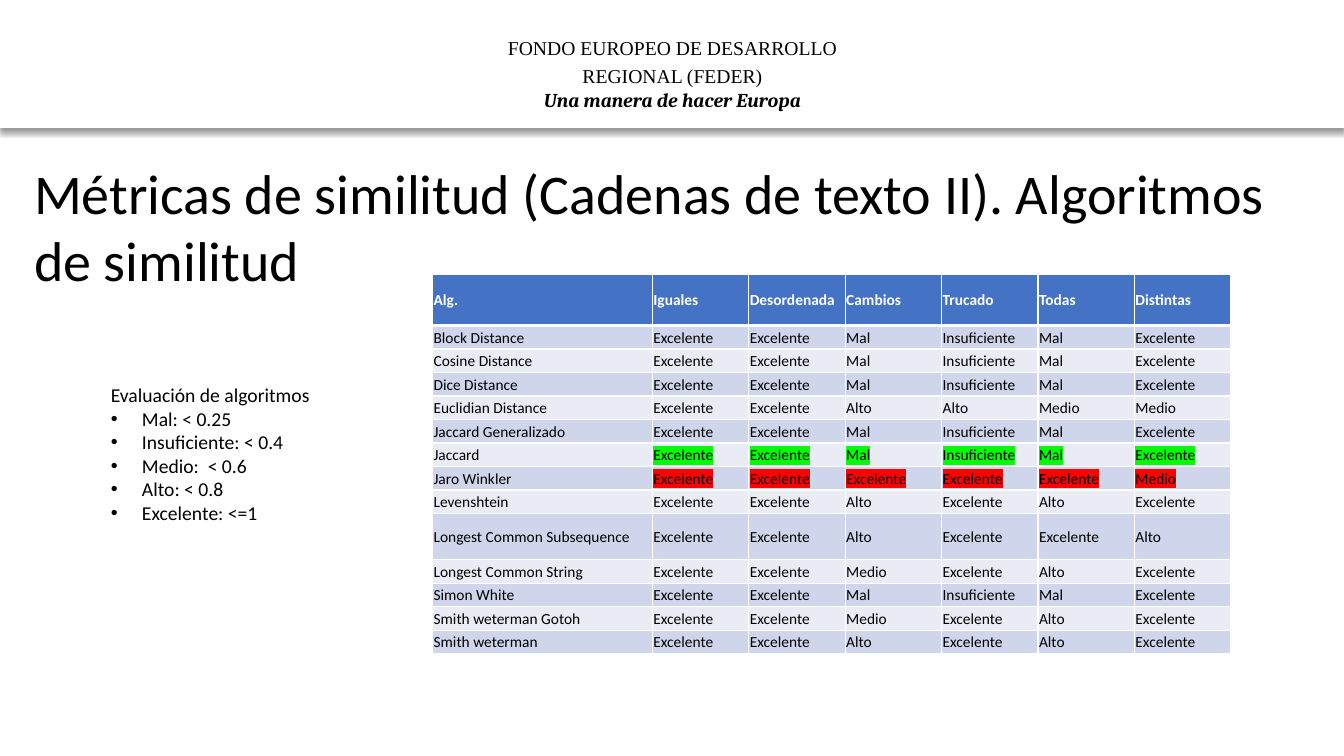
from dataclasses import dataclass

from lxml.etree import SubElement
from pptx import Presentation
from pptx.dml.color import RGBColor as RGB
from pptx.enum.shapes import MSO_SHAPE as Shape
from pptx.enum.text import MSO_ANCHOR as Anchor, PP_ALIGN as Align
from pptx.oxml import parse_xml
from pptx.oxml.ns import nsdecls, qn
from pptx.util import Inches, Pt


@dataclass(frozen=True)
class Theme:
    white: str = "FFFFFF"
    black: str = "000000"
    header: str = "4472C4"
    bands: tuple[str, str] = ("CFD5EA", "E9EBF5")
    best: str = "00FF00"
    worst: str = "FF0000"
    body_font: str = "Calibri"
    fund_font: str = "Times New Roman"
    motto_font: str = "Cambria"
    title: float = 40
    text: float = 14
    table: float = 11


THEME = Theme()


@dataclass(frozen=True)
class Algorithm:
    name: str
    grades: str  # one grade per test, separated by spaces
    mark: str | None = None
    tall: bool = False


TESTS = ["Iguales", "Desordenada", "Cambios", "Trucado", "Todas", "Distintas"]
WEAK = "Excelente Excelente Mal Insuficiente Mal Excelente"
MEDIUM = "Excelente Excelente Medio Excelente Alto Excelente"
HIGH = "Excelente Excelente Alto Excelente Alto Excelente"
ALGORITHMS = [
    Algorithm("Block Distance", WEAK),
    Algorithm("Cosine Distance", WEAK),
    Algorithm("Dice Distance", WEAK),
    Algorithm("Euclidian Distance", "Excelente Excelente Alto Alto Medio Medio"),
    Algorithm("Jaccard Generalizado", WEAK),
    Algorithm("Jaccard", WEAK, mark=THEME.best),
    Algorithm("Jaro Winkler", "Excelente Excelente Excelente Excelente Excelente Medio",
              mark=THEME.worst),
    Algorithm("Levenshtein", HIGH),
    Algorithm("Longest Common Subsequence",
              "Excelente Excelente Alto Excelente Excelente Alto", tall=True),
    Algorithm("Longest Common String", MEDIUM),
    Algorithm("Simon White", WEAK),
    Algorithm("Smith weterman Gotoh", MEDIUM),
    Algorithm("Smith weterman", HIGH),
]
SCALE = ["Mal: < 0.25", "Insuficiente: < 0.4", "Medio:  < 0.6", "Alto: < 0.8",
         "Excelente: <=1"]


def write(p, text: str, *, size: float = THEME.text, font: str = THEME.body_font,
          color: str = THEME.black, bold: bool = False, italic: bool = False,
          align: Align = Align.LEFT, spacing: float | None = None,
          highlight: str | None = None, bullet: bool = False) -> None:
    p.alignment = align
    if spacing:
        p.line_spacing = spacing
    if bullet:
        pPr = p._p.get_or_add_pPr()
        pPr.set("marL", str(Inches(0.31)))
        pPr.set("indent", str(-Inches(0.31)))
        SubElement(pPr, qn("a:buFont"), typeface="Arial")
        SubElement(pPr, qn("a:buChar"), char="•")
    r = p.add_run()
    r.text = text
    f = r.font
    f.size, f.name, f.bold, f.italic = Pt(size), font, bold, italic
    f.color.rgb = RGB.from_string(color)
    if highlight:
        f._rPr.find(qn("a:solidFill")).addnext(parse_xml(
            f'<a:highlight {nsdecls("a")}><a:srgbClr val="{highlight}"/></a:highlight>'))


def add_text_frame(slide, left: float, top: float, width: float, height: float):
    box = slide.shapes.add_textbox(*map(Inches, (left, top, width, height)))
    tf = box.text_frame
    tf.word_wrap = True
    return tf


def fill_cell(cell, text: str, fill: str, *, top: float = 1, bottom: float = 1,
              **text_format) -> None:
    cell.vertical_anchor = Anchor.MIDDLE
    cell.margin_left = cell.margin_top = cell.margin_right = Inches(0.01)
    cell.margin_bottom = 0
    tcPr = cell._tc.get_or_add_tcPr()
    for side, width in (("L", 1), ("R", 1), ("T", top), ("B", bottom)):
        ln = SubElement(tcPr, qn(f"a:ln{side}"), w=str(Pt(width)))
        SubElement(SubElement(ln, qn("a:solidFill")), qn("a:srgbClr"), val=THEME.white)
    cell.fill.solid()
    cell.fill.fore_color.rgb = RGB.from_string(fill)
    write(cell.text_frame.paragraphs[0], text, size=THEME.table, **text_format)


def add_banner(slide) -> None:
    sp = slide.shapes.add_shape(Shape.RECTANGLE, 0, 0, Inches(13.33), Inches(1.26))
    sp.fill.solid()
    sp.fill.fore_color.rgb = sp.line.color.rgb = RGB.from_string(THEME.white)
    sp.line.width = Pt(1)
    sp.shadow.inherit = False
    effects = sp._element.spPr.find(qn("a:effectLst"))
    effects.append(parse_xml(
        f'<a:outerShdw {nsdecls("a")} blurRad="{Pt(4)}" dist="{Pt(3)}" dir="5400000" '
        f'algn="t" rotWithShape="0"><a:srgbClr val="{THEME.black}">'
        '<a:alpha val="40000"/></a:srgbClr></a:outerShdw>'))

    tf = add_text_frame(slide, 4.46, 0.26, 4.42, 0.9)
    write(tf.paragraphs[0], "FONDO EUROPEO DE DESARROLLO REGIONAL (FEDER)",
          font=THEME.fund_font, align=Align.CENTER, spacing=1.2)
    write(tf.add_paragraph(), "Una manera de hacer Europa", font=THEME.motto_font,
          bold=True, italic=True, align=Align.CENTER)


def add_results(slide) -> None:
    width, height, name_width, head_height, tall_height = 7.92, 3.77, 2.18, 0.51, 0.46
    row_height = (height - head_height - tall_height) / (len(ALGORITHMS) - 1)
    table = slide.shapes.add_table(
        len(ALGORITHMS) + 1, len(TESTS) + 1,
        *map(Inches, (4.29, 2.72, width, height))).table
    table.first_row = table.horz_banding = False

    for i, column in enumerate(table.columns):
        column.width = Inches((width - name_width) / len(TESTS) if i else name_width)

    # Heading row
    table.rows[0].height = Inches(head_height)
    for col, heading in enumerate(["Alg.", *TESTS]):
        fill_cell(table.cell(0, col), heading, THEME.header, bottom=3,
                  color=THEME.white, bold=True)

    # One banded row per algorithm, with marked grades for the best and worst
    for row, alg in enumerate(ALGORITHMS, start=1):
        table.rows[row].height = Inches(tall_height if alg.tall else row_height)
        for col, text in enumerate([alg.name, *alg.grades.split()]):
            fill_cell(table.cell(row, col), text, THEME.bands[(row - 1) % 2],
                      top=3 if row == 1 else 1, highlight=alg.mark if col else None)


def main() -> None:
    prs = Presentation()
    prs.slide_width, prs.slide_height = Inches(13.33), Inches(7.5)
    slide = prs.slides.add_slide(prs.slide_layouts[6])

    # Banner and title
    add_banner(slide)
    tf = add_text_frame(slide, 0.24, 1.52, 12.86, 1.45)
    write(tf.paragraphs[0],
          "Métricas de similitud (Cadenas de texto II). Algoritmos de similitud",
          size=THEME.title)

    # Results table
    add_results(slide)

    # Grading scale
    tf = add_text_frame(slide, 1, 3.75, 3.15, 2.02)
    write(tf.paragraphs[0], "Evaluación de algoritmos")
    for grade in SCALE:
        write(tf.add_paragraph(), grade, bullet=True)

    prs.save("out.pptx")


if __name__ == "__main__":
    main()
